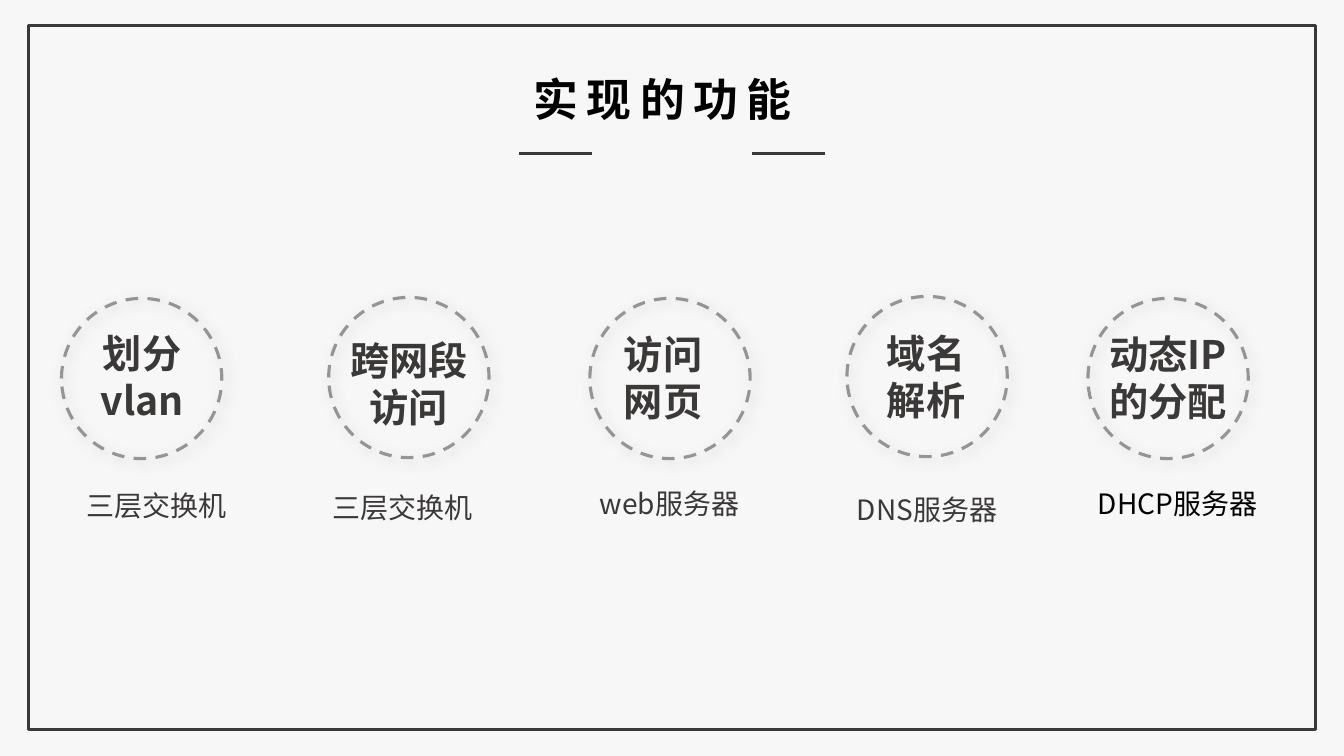
import pptx
import pptx.dml.color
import pptx.enum.dml
import pptx.enum.shapes
import pptx.enum.text
import pptx.oxml
import pptx.oxml.ns
import pptx.util
from pptx.util import Inches

FONT = "Noto Sans CJK SC"
DARK = "3B3838"
BLACK = "000000"
CIRCLE_SIZE = 1.59
LEFT = pptx.enum.text.PP_ALIGN.LEFT
CENTER = pptx.enum.text.PP_ALIGN.CENTER

# Each feature: circle (left, top),
# heading (text, left, top, width, alignment),
# caption (text, left, top, width, alignment, colour)
FEATURES = [
    ((0.61, 2.96), ("划分vlan", 0.81, 3.22, 1.2, CENTER),
     ("三层交换机", 0.61, 4.8, 1.89, CENTER, DARK)),
    ((3.26, 2.95), ("跨网段访问", 3.36, 3.29, 1.39, CENTER),
     ("三层交换机", 3.06, 4.82, 1.87, CENTER, DARK)),
    ((5.85, 2.96), ("访问网页", 6.09, 3.23, 1.16, LEFT),
     ("web服务器", 5.85, 4.78, 2.15, LEFT, DARK)),
    ((8.4, 2.94), ("域名\n解析", 8.49, 3.22, 1.39, CENTER),
     ("DNS服务器", 8.4, 4.84, 1.59, CENTER, DARK)),
    ((10.79, 2.96), ("动态IP\n的分配", 10.66, 3.23, 1.85, CENTER),
     ("DHCP服务器", 10.79, 4.78, 1.83, LEFT, BLACK)),
]


def rgb(value):
    return pptx.dml.color.RGBColor.from_string(value)


def drawing_element(xml):
    """Parse one DrawingML element, adding its namespace."""
    tag, rest = xml[:-2].split(" ", 1) if xml.count("<") == 1 else xml.split(" ", 1)
    namespace = pptx.oxml.ns.nsdecls("a")
    ending = "/>" if xml.count("<") == 1 else ""
    return pptx.oxml.parse_xml(f"{tag} {namespace} {rest}{ending}")


def write_text(shape, text, size, color, alignment, bold=False, spacing=0):
    frame = shape.text_frame
    frame.text = text
    frame.word_wrap = True
    frame.auto_size = pptx.enum.text.MSO_AUTO_SIZE.SHAPE_TO_FIT_TEXT
    frame.vertical_anchor = pptx.enum.text.MSO_ANCHOR.TOP
    for paragraph in frame.paragraphs:
        paragraph.alignment = alignment
        for run in paragraph.runs:
            run.font.size = pptx.util.Pt(size)
            run.font.bold = bold
            run.font.name = FONT
            run.font.color.rgb = rgb(color)
            properties = run.font._element
            properties.append(drawing_element(f'<a:ea typeface="{FONT}"/>'))
            if spacing:
                properties.set("spc", str(spacing * 100))


def add_title(slide, text):
    title = slide.shapes.title
    title.left, title.top = Inches(4.12), Inches(0.66)
    title.width, title.height = Inches(5.09), Inches(0.64)
    write_text(title, text, 32, BLACK, CENTER, bold=True, spacing=6)


def add_text(slide, text, left, top, width, height, *style, **options):
    box = slide.shapes.add_textbox(
        Inches(left), Inches(top), Inches(width), Inches(height))
    write_text(box, text, *style, **options)


def add_outline(slide, kind, left, top, width, height, line_width):
    shape = slide.shapes.add_shape(
        kind, Inches(left), Inches(top), Inches(width), Inches(height))
    shape.shadow.inherit = False
    shape.fill.background()
    shape.line.color.rgb = rgb(DARK)
    shape.line.width = pptx.util.Pt(line_width)
    return shape


def add_dashed_circle(slide, left, top):
    circle = add_outline(slide, pptx.enum.shapes.MSO_SHAPE.OVAL,
                         left, top, CIRCLE_SIZE, CIRCLE_SIZE, 2.25)
    circle.line.dash_style = pptx.enum.dml.MSO_LINE.DASH
    properties = circle._element.spPr
    line_color = properties.find(".//" + pptx.oxml.ns.qn("a:srgbClr"))
    line_color.append(drawing_element('<a:alpha val="50000"/>'))
    effects = properties.find(pptx.oxml.ns.qn("a:effectLst"))
    blur, distance = pptx.util.Pt(10), pptx.util.Pt(3)
    effects.append(drawing_element(
        f'<a:outerShdw blurRad="{blur}" dist="{distance}" dir="2700000" '
        f'algn="tl" rotWithShape="0"><a:srgbClr val="{BLACK}">'
        '<a:alpha val="40000"/></a:srgbClr></a:outerShdw>'))


def add_rule(slide, left, top, length):
    rule = slide.shapes.add_connector(
        pptx.enum.shapes.MSO_CONNECTOR.STRAIGHT,
        Inches(left), Inches(top), Inches(left + length), Inches(top))
    rule.line.color.rgb = rgb(DARK)
    rule.line.width = pptx.util.Pt(2)
    rule._element.spPr.append(pptx.oxml.parse_xml(
        f'<a:effectLst {pptx.oxml.ns.nsdecls("a")}/>'))


def add_feature(slide, circle, heading, caption):
    add_dashed_circle(slide, *circle)
    text, left, top, width, alignment = heading
    add_text(slide, text, left, top, width, 1.04, 28, DARK, alignment, bold=True)
    text, left, top, width, alignment, color = caption
    add_text(slide, text, left, top, width, 0.44, 20, color, alignment)


def main():
    presentation = pptx.Presentation()
    presentation.slide_width = Inches(13.33)
    presentation.slide_height = Inches(7.5)
    slide = presentation.slides.add_slide(presentation.slide_layouts[5])
    slide.background.fill.solid()
    slide.background.fill.fore_color.rgb = rgb("F7F7F7")

    add_outline(slide, pptx.enum.shapes.MSO_SHAPE.RECTANGLE,
                0.28, 0.25, 12.77, 6.99, 2)
    add_title(slide, "实现的功能 ")
    for left in (5.15, 7.46):
        add_rule(slide, left, 1.52, 0.72)
    for feature in FEATURES:
        add_feature(slide, *feature)
    presentation.save("out.pptx")


if __name__ == "__main__":
    main()
